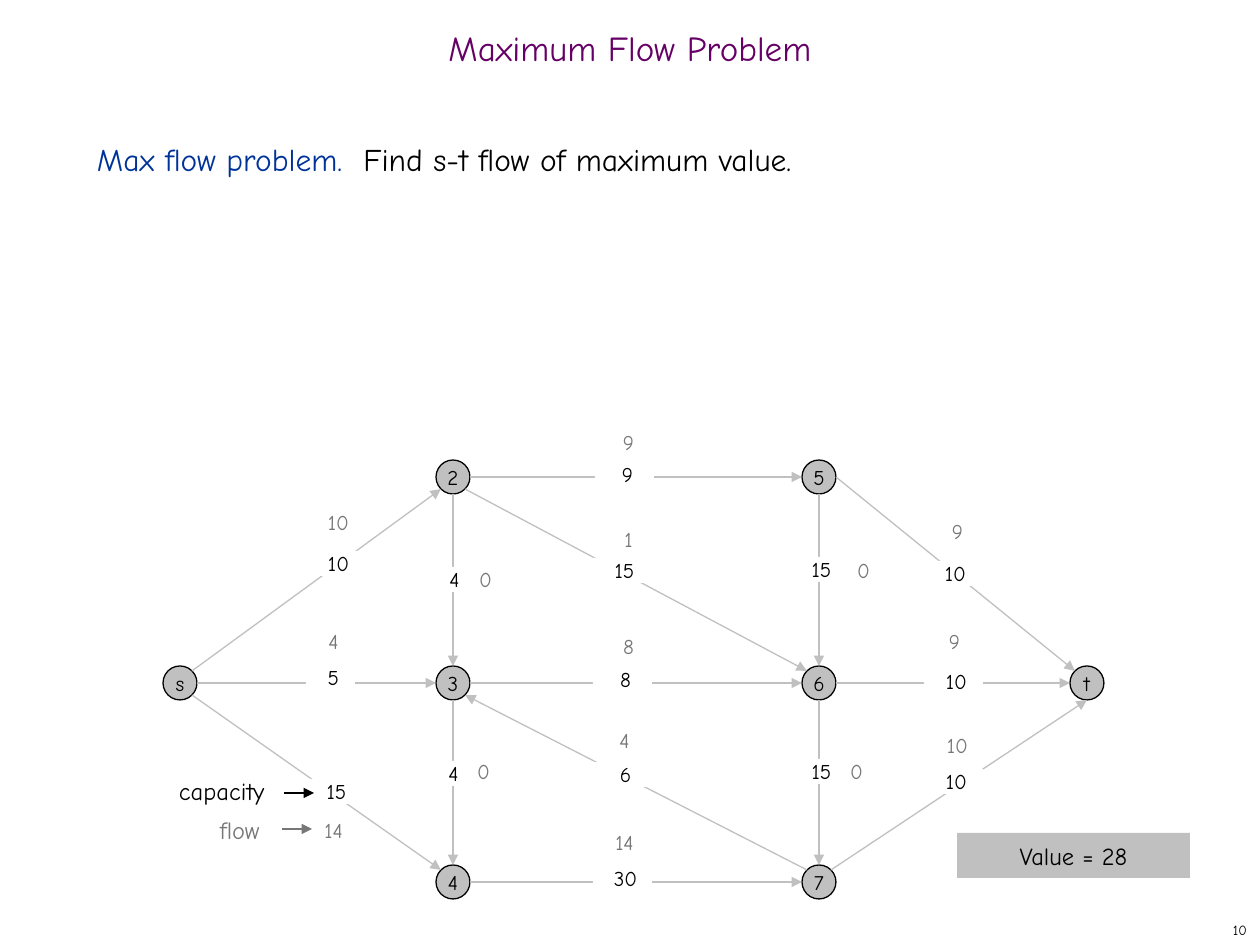
from lxml import etree
from pptx import Presentation
from pptx import util as u
from pptx.dml.color import RGBColor
from pptx.enum import shapes, text
from pptx.oxml.ns import qn

PX = 914400 // 126
FONT = "Comic Neue"
HUES = dict(ink="000000", grey="777777", node="C0C0C0", paper="FFFFFF",
            plum="660066", blue="003399")

NODES = {"s": (180, 683), "2": (453, 477), "3": (453, 683), "4": (453, 882),
         "5": (819, 477), "6": (819, 683), "7": (819, 882), "t": (1087, 683)}
SIDES = dict(N=(0, -1), S=(0, 1), E=(1, 0), W=(-1, 0),
             NE=(.71, -.71), NW=(-.71, -.71), SE=(.71, .71), SW=(-.71, .71))
RADIUS = 17

# from, side, to, side, capacity (value, left, top), flow (value, left, top)
EDGES = [
    ("s", "NE", "2", "SW", ("10", 300, 551), ("10", 315, 510)),
    ("s", "E", "3", "W", ("5", 306, 665), ("4", 310, 629)),
    ("s", "SE", "4", "NW", ("15", 304, 779), ("14", 310, 818)),
    ("2", "E", "5", "W", ("9", 595, 462), ("9", 605, 430)),
    ("2", "SE", "6", "NW", ("15", 592, 558), ("1", 605, 527)),
    ("2", "S", "3", "N", ("4", 422, 567), ("0", 462, 567)),
    ("3", "E", "6", "W", ("8", 593, 667), ("8", 605, 634)),
    ("3", "S", "4", "N", ("4", 421, 761), ("0", 460, 759)),
    ("4", "E", "7", "W", ("30", 593, 866), ("14", 601, 830)),
    ("5", "S", "6", "N", ("15", 789, 557), ("0", 840, 558)),
    ("6", "S", "7", "N", ("15", 789, 759), ("0", 833, 759)),
    ("7", "NW", "3", "SE", ("6", 593, 762), ("4", 601, 728)),
    ("5", "E", "t", "NW", ("10", 917, 561), ("9", 934, 519)),
    ("6", "E", "t", "W", ("10", 924, 669), ("9", 931, 629)),
    ("7", "NE", "t", "S", ("10", 924, 769), ("10", 934, 733)),
]
WIDTHS = {("s", "3"): 49}
PADS = {("s", "2"): 18, ("5", "t"): 18}
KEYS = [("capacity", 179, 776, "ink", (284, 793, 314, 793)),
        ("flow", 220, 815, "grey", (282, 829, 312, 829))]

LEFT, MID, RIGHT = text.PP_ALIGN.LEFT, text.PP_ALIGN.CENTER, text.PP_ALIGN.RIGHT
TOP, HALF = text.MSO_ANCHOR.TOP, text.MSO_ANCHOR.MIDDLE

deck = Presentation()
deck.slide_width, deck.slide_height = u.Inches(10), u.Inches(7.5)
slide = deck.slides.add_slide(deck.slide_layouts[5])


def hue(name):
    return RGBColor.from_string(HUES[name])


def px(*nums):
    return [round(n * PX) for n in nums]


def write(shape, runs, size, align=MID, anchor=TOP, pads=(0, 0, 0, 0), wrap=True):
    frame = shape.text_frame
    frame.word_wrap = wrap
    frame.auto_size = text.MSO_AUTO_SIZE.NONE
    frame.vertical_anchor = anchor
    (frame.margin_left, frame.margin_top,
     frame.margin_right, frame.margin_bottom) = px(*pads)
    para = frame.paragraphs[0]
    para.alignment = align
    para.font.name, para.font.size = FONT, u.Pt(size)
    para.font.bold = False
    for words, tint in runs:
        run = para.add_run()
        run.text = words
        run.font.color.rgb = hue(tint)
    return para


def label(box, words, size, tint="ink", **opts):
    return write(slide.shapes.add_textbox(*px(*box)), [(words, tint)], size, **opts)


def block(kind, box, fill, edge=None):
    shape = slide.shapes.add_shape(kind, *px(*box))
    shape.shadow.inherit = False
    shape.fill.solid()
    shape.fill.fore_color.rgb = hue(fill)
    if edge:
        shape.line.color.rgb = hue(edge)
        shape.line.width = u.Pt(.74)
    else:
        shape.line.fill.background()
    return shape


def arrow(ends, tint):
    line = slide.shapes.add_connector(shapes.MSO_CONNECTOR.STRAIGHT, *px(*ends))
    line.line.color.rgb = hue(tint)
    line.line.width = u.Pt(.74)
    etree.SubElement(line.line._get_or_add_ln(), qn("a:tailEnd"), type="triangle")
    etree.SubElement(line._element.spPr, qn("a:effectLst"))


def port(node, side):
    return [c + RADIUS * d for c, d in zip(NODES[node], SIDES[side])]


title = slide.shapes.title
title.left, title.top, title.width, title.height = px(0, 21, 1260, 63)
write(title, [("Maximum Flow Problem", "plum")], 20, anchor=HALF,
      pads=(13, 6, 13, 6)).line_spacing = .7

body = slide.shapes.add_textbox(*px(84, 126, 1081, 746))
write(body, [("Max flow problem.  ", "blue"),
             ("Find s-t flow of maximum value.", "ink")], 18, align=LEFT,
      pads=(13, 6, 13, 6)).line_spacing = u.Pt(26)

for name, (x, y) in NODES.items():
    dot = block(shapes.MSO_SHAPE.OVAL,
                (x - RADIUS, y - RADIUS, 2 * RADIUS, 2 * RADIUS), "node", "ink")
    write(dot, [(name, "ink")], 12, anchor=HALF, wrap=False)

for a, out, b, into, _, _ in EDGES:
    arrow(port(a, out) + port(b, into), "node")

for a, _, b, _, (cap, x, y), (flow, left, top) in EDGES:
    plate = block(shapes.MSO_SHAPE.RECTANGLE,
                  (x, y, WIDTHS.get((a, b), 59), 25), "paper")
    write(plate, [(cap, "ink")], 12, pads=(PADS.get((a, b), 6), 0, 0, 0))
    label((left, top, 47, 24), flow, 12, "grey")

for words, x, y, tint, ends in KEYS:
    label((x, y, 100, 30), words, 14, tint, align=LEFT)
    arrow(ends, tint)

value = block(shapes.MSO_SHAPE.RECTANGLE, (957, 833, 233, 45), "node")
write(value, [("Value = 28", "ink")], 14, anchor=HALF)
label((998, 914, 262, 31), "10", 8, align=RIGHT, anchor=HALF, pads=(13, 6, 13, 6))

deck.save("out.pptx")
